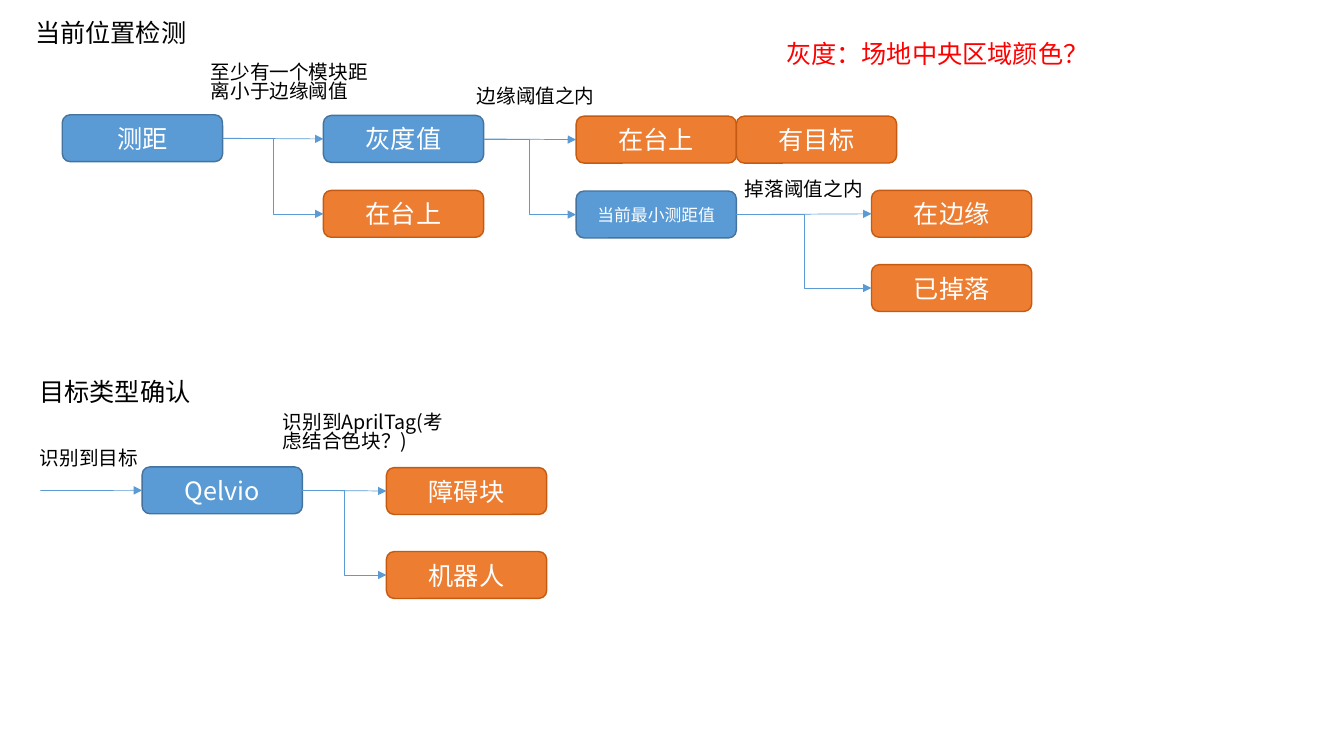
"""Build a slide with two decision flows: position detection and target type."""
from pptx import Presentation
from pptx.dml.color import RGBColor
from pptx.enum.shapes import MSO_CONNECTOR as Link, MSO_SHAPE as Preset
from pptx.enum.text import MSO_ANCHOR as Anchor, PP_ALIGN as Align
from pptx.oxml.ns import qn
from pptx.util import Pt
from lxml.etree import SubElement

THEME = {
    "font": "Noto Sans CJK SC",
    "check": ("5B9BD5", "43739E"),
    "result": ("ED7D31", "C55A11"),
    "link": "5B9BD5",
    "ink": "000000",
    "alert": "FF0000",
    "light": "FFFFFF",
    "large": 18,
    "medium": 14,
    "small": 12,
}
BOX_WIDTH, BOX_HEIGHT = 114.5, 33.5


def write(shape, text, size, color):
    frame = shape.text_frame
    frame.text = text
    frame.word_wrap = True
    para = frame.paragraphs[0]
    span = para.runs[0]
    span.font.size = Pt(THEME[size])
    span.font.name = THEME["font"]
    span.font.color.rgb = RGBColor.from_string(THEME[color])
    SubElement(span.font._element, qn("a:ea"), typeface=THEME["font"])
    return para


def add_arrow(kind, target, source=None):
    arrow = page.shapes.add_connector(kind, Pt(28.8), Pt(350.4), Pt(0), Pt(0))
    if source is not None:
        arrow.begin_connect(source, 3)
    arrow.end_connect(target, 1)
    arrow.line.width = Pt(0.5)
    arrow.line.color.rgb = RGBColor.from_string(THEME["link"])
    SubElement(arrow.line._get_or_add_ln(), qn("a:tailEnd"), type="triangle")
    SubElement(arrow._element.spPr, qn("a:effectLst"))


deck = Presentation()
deck.slide_width, deck.slide_height = Pt(960), Pt(540)
page = deck.slides.add_slide(deck.slide_layouts[6])

boxes = {}
for name, text, kind, size, left, top in [
    ("distance", "测距", "check", "large", 44.5, 82),
    ("gray", "灰度值", "check", "large", 231, 82.5),
    ("on stage far", "在台上", "result", "large", 231, 136),
    ("on stage gray", "在台上", "result", "large", 411.5, 83),
    ("has target", "有目标", "result", "large", 526, 83),
    ("minimum", "当前最小测距值", "check", "small", 411.5, 136.5),
    ("on edge", "在边缘", "result", "large", 622.5, 136),
    ("fallen", "已掉落", "result", "large", 622.5, 189),
    ("camera", "Qelvio", "check", "large", 101.5, 333.5),
    ("obstacle", "障碍块", "result", "large", 276, 334),
    ("robot", "机器人", "result", "large", 276, 394),
]:
    box = page.shapes.add_shape(
        Preset.ROUNDED_RECTANGLE, Pt(left), Pt(top), Pt(BOX_WIDTH), Pt(BOX_HEIGHT))
    fill, outline = THEME[kind]
    box.shadow.inherit = False
    box.fill.solid()
    box.fill.fore_color.rgb = RGBColor.from_string(fill)
    box.line.color.rgb = RGBColor.from_string(outline)
    box.line.width = Pt(1)
    box.text_frame.vertical_anchor = Anchor.MIDDLE
    write(box, text, size, "light").alignment = Align.CENTER
    boxes[name] = box

add_arrow(Link.STRAIGHT, boxes["camera"])
for source, ahead, below in [
    ("distance", "gray", "on stage far"),
    ("gray", "on stage gray", "minimum"),
    ("minimum", "on edge", "fallen"),
    ("camera", "obstacle", "robot"),
]:
    add_arrow(Link.STRAIGHT, boxes[ahead], boxes[source])
    add_arrow(Link.ELBOW, boxes[below], boxes[source])

for text, size, color, left, top, width, height in [
    ("当前位置检测", "large", "ink", 18, 12.5, 137.5, 29.5),
    ("目标类型确认", "large", "ink", 21, 269, 137.5, 29.5),
    ("灰度：场地中央区域颜色？", "large", "alert", 554.5, 27.5, 232.5, 29),
    ("至少有一个模块距离小于边缘阈值", "medium", "ink", 143.5, 42, 130.5, 41),
    ("边缘阈值之内", "medium", "ink", 333.5, 59.5, 107.5, 24.5),
    ("掉落阈值之内", "medium", "ink", 525, 125.5, 107.5, 24.5),
    ("识别到目标", "medium", "ink", 21.5, 318, 130.5, 24.5),
    ("识别到AprilTag(考虑结合色块？)", "medium", "ink", 195, 292, 132.5, 41),
]:
    note = page.shapes.add_textbox(Pt(left), Pt(top), Pt(width), Pt(height))
    write(note, text, size, color).line_spacing = 0.83

deck.save("out.pptx")
